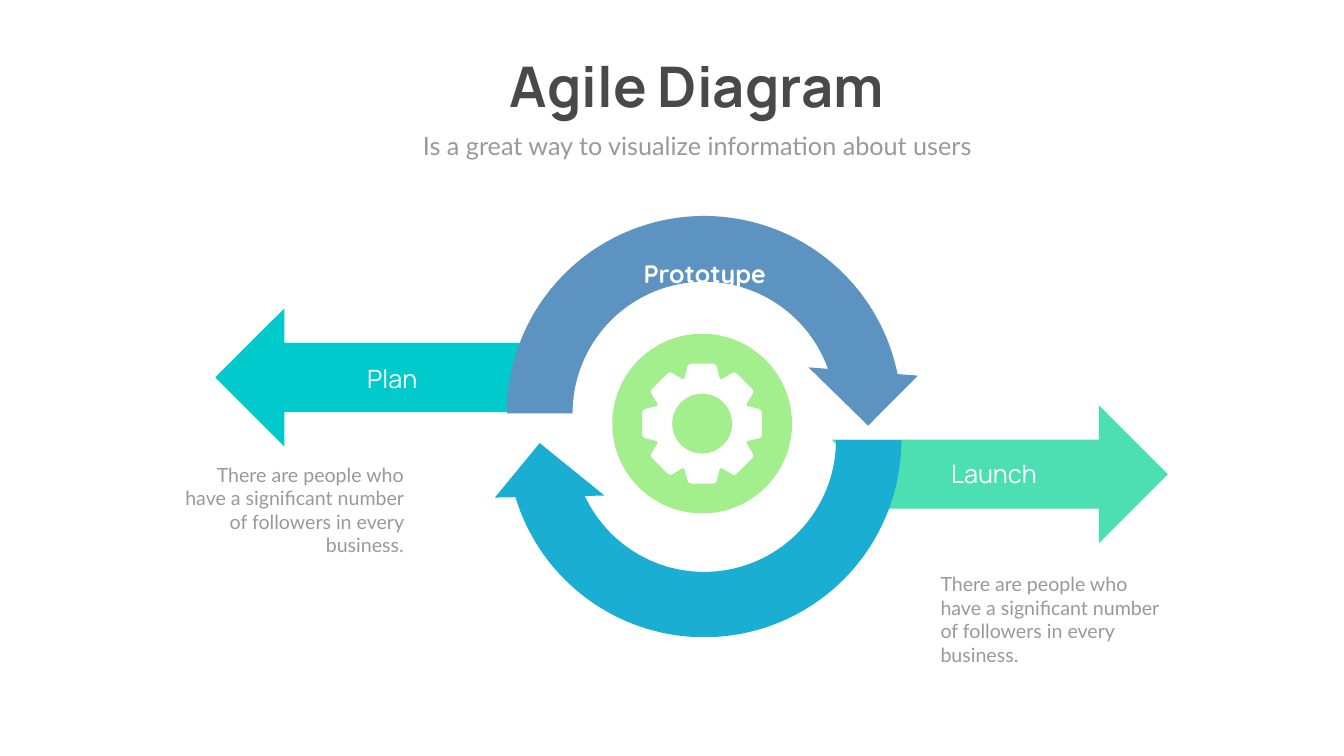
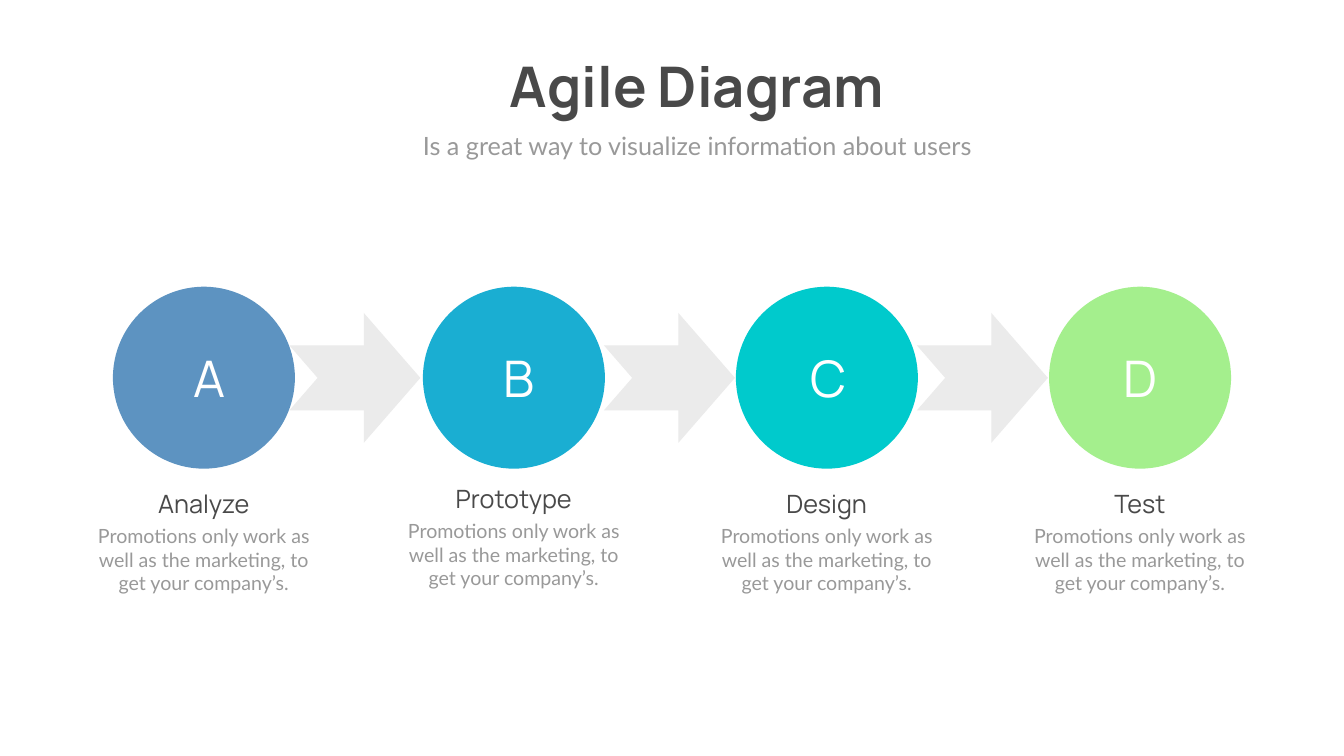
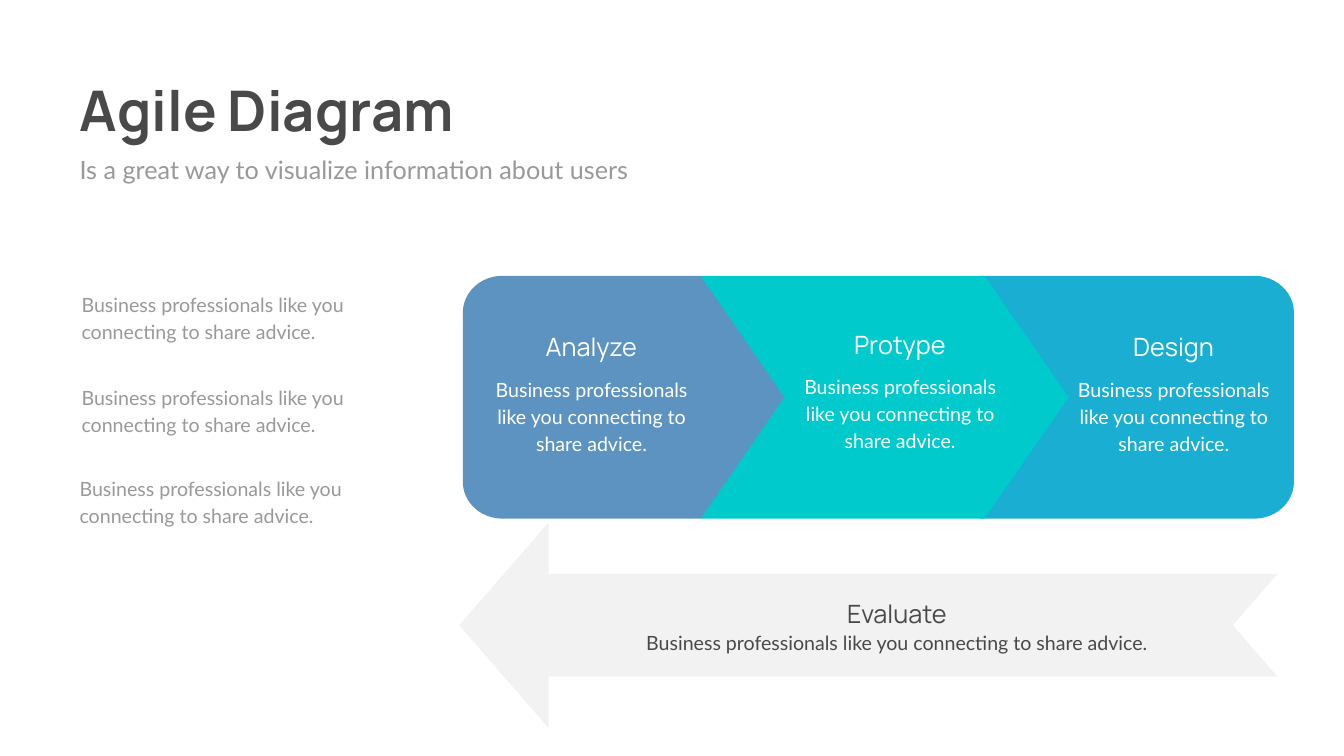
from math import cos, pi, sin

from pptx import Presentation
from pptx.dml.color import RGBColor
from pptx.enum.shapes import MSO_SHAPE as Shape
from pptx.enum.text import MSO_ANCHOR as Anchor
from pptx.enum.text import MSO_AUTO_SIZE as Fit
from pptx.enum.text import PP_ALIGN as Align
from pptx.util import Cm, Pt

COLORS = {
    "dark": "494949", "gray": "999999", "white": "FFFFFF",
    "steel": "5D93C1", "blue": "1AAED2", "teal": "00CACC",
    "mint": "4CDFB2", "green": "A4EF8D", "light": "EBEBEB", "pale": "F2F2F2",
}
HEAD, BODY, ROUND = "Manrope", "Lato", "Quicksand"
LEFT, MID, RIGHT = Align.LEFT, Align.CENTER, Align.RIGHT

TITLE = "Agile Diagram"
SUBTITLE = "Is a great way to visualize information about users"

# Cycle: positions and sizes are in centimetres
NOTE = "There are people who have a significant number of followers in every business."
EXITS = [("mint", 41.91, 20.42, 0), ("teal", 10.85, 15.54, 180)]
RINGS = [
    ("steel", 9.78, 0, (0.15, 11.423, 207.167, 108, 0.125)),
    ("blue", 11.13, 180, (0.149, 11.423, 203.953, 108, 0.125)),
]
LABELS = [("Plan", 15.7, 18.21), ("Launch", 46.02, 22.96)]
NOTES = [(47.14, 28.7, LEFT), (8.86, 23.19, RIGHT)]
HUB = (35.38, 21.35)
TOOTH = [(-0.89, -2.28), (-0.74, -2.88), (-0.68, -2.98), (-0.56, -3.02),
         (0.56, -3.02), (0.68, -2.98), (0.74, -2.88), (0.89, -2.28)]

# Chain: letter, name, colour, circle left, letter left, name top
PROMO = "Promotions only work as well as the marketing, to get your company’s."
STAGES = [
    ("A", "Analyze", "steel", 5.69, 6.71, 24.46),
    ("B", "Prototype", "blue", 21.31, 22.33, 24.21),
    ("C", "Design", "teal", 37.08, 37.92, 24.46),
    ("D", "Test", "green", 52.86, 53.62, 24.46),
]
LINKS = [14.58, 30.43, 46.2]

# Loop: name, left, top
ADVICE = "Business professionals like you connecting to share advice."
STEPS = [("Protype", 41.76, 16.48), ("Design", 55.55, 16.59), ("Analyze", 26.21, 16.59)]
POINTS = [(3.86, 14.48), (3.86, 19.13), (3.76, 23.75)]
TOP, FOOT = 13.9, 26.14


def rgb(name):
    return RGBColor.from_string(COLORS[name])


def style(frame, text, size, face, color, align=MID, bold=False, lead=None):
    frame.word_wrap = True
    frame.text = text
    para = frame.paragraphs[0]
    para.alignment = align
    if lead:
        para.line_spacing = Pt(lead)
    font = para.runs[0].font
    font.size, font.name, font.bold = Pt(size), face, bold
    font.color.rgb = rgb(color)


def write(slide, text, box, size, face, color, anchor=Anchor.TOP, **looks):
    frame = slide.shapes.add_textbox(*map(Cm, box)).text_frame
    style(frame, text, size, face, color, **looks)
    frame.vertical_anchor = anchor
    frame.auto_size = Fit.SHAPE_TO_FIT_TEXT


def label(slide, text, left, top, width, color):
    write(slide, text, (left, top, width, 1.8), 36, HEAD, color)


def body(slide, text, box, color="gray", **looks):
    write(slide, text, box, 28, BODY, color, **looks)


def paint(shape, color):
    shape.fill.solid()
    shape.fill.fore_color.rgb = rgb(color)
    shape.line.fill.background()
    shape.shadow.inherit = False


def draw(slide, kind, box, color, turn=0, adjust=()):
    shape = slide.shapes.add_shape(kind, *map(Cm, box))
    paint(shape, color)
    shape.rotation = turn
    for i, value in enumerate(adjust):
        shape.adjustments[i] = value


def outline(slide, color, *loops):
    """Fill the area between closed loops of points."""
    loops = [[(Cm(x), Cm(y)) for x, y in loop] for loop in loops]
    form = slide.shapes.build_freeform(*loops[0][0])
    form.add_line_segments(loops[0][1:], close=True)
    for loop in loops[1:]:
        form.move_to(*loop[0])
        form.add_line_segments(loop[1:], close=True)
    paint(form.convert_to_shape(), color)


def arc(x, y, wide, high, start, sweep, count):
    """Points on an ellipse; angles in degrees, clockwise from the right."""
    angles = [(start + sweep * i / count) * pi / 180 for i in range(count + 1)]
    return [(x + wide * cos(a), y + high * sin(a)) for a in angles]


def gear(x, y):
    points = []
    for i in range(8):
        c, s = cos(i * pi / 4), sin(i * pi / 4)
        points += [(x + c * u - s * v, y + s * u + c * v) for u, v in TOOTH]
    return points


def start(deck, left, top, align=MID, shift=0):
    slide = deck.slides.add_slide(deck.slide_layouts[5])
    title = slide.shapes.title
    title.left, title.top, title.width, title.height = map(Cm, (left, top, 30.81, 3.68))
    style(title.text_frame, TITLE, 80, HEAD, "dark", align, True)
    title.text_frame.vertical_anchor = Anchor.TOP
    write(slide, SUBTITLE, (left + shift, top + 3.96, 33.45, 1.8),
          36, BODY, "gray", align=align)
    return slide


def cycle(deck):
    slide = start(deck, 19.71, 2.49, shift=-1.3)
    for color, left, top, turn in EXITS:
        draw(slide, Shape.NOTCHED_RIGHT_ARROW, (left, top, 16.94, 6.96), color, turn)
    for color, top, turn, adjust in RINGS:
        draw(slide, Shape.CIRCULAR_ARROW, (24.43, top, 22.1, 22.1), color, turn, adjust)
    for text, left, top in LABELS:
        label(slide, text, left, top, 8.13, "white")
    write(slide, "Prototype", (28.24, 12.9, 14.53, 9.5), 36, ROUND, "white", bold=True)
    for left, top, align in NOTES:
        body(slide, NOTE, (left, top, 11.73, 5.05), align=align)
    outline(slide, "green", arc(*HUB, 4.53, 4.53, 0, 360, 90), gear(*HUB))
    x, y = HUB
    draw(slide, Shape.OVAL, (x - 1.51, y - 1.51, 3.02, 3.02), "green")


def chain(deck):
    slide = start(deck, 19.71, 2.49, shift=-1.3)
    for letter, name, color, left, inner, top in STAGES:
        draw(slide, Shape.OVAL, (left, 14.45, 9.17, 9.17), color)
        label(slide, name, left - 1.76, top, 12.67, "dark")
        body(slide, PROMO, (left - 1.76, top + 1.83, 12.67, 3.84))
        write(slide, letter, (inner, 17.35, 7.65, 3.33), 72, HEAD, "white", Anchor.MIDDLE)
    for left in LINKS:
        draw(slide, Shape.NOTCHED_RIGHT_ARROW, (left, 15.77, 6.6, 6.55), "light",
             adjust=(0.5, 0.435))


def loop(deck):
    slide = start(deck, 3.76, 3.68, LEFT)
    wide, high = 2, 1.86
    near, far = 23.32 + wide, 65.2 - wide
    upper, lower = TOP + high, FOOT - high
    mid = (TOP + FOOT) / 2
    outline(slide, "blue", [(49.4, TOP), *arc(far, upper, wide, high, -90, 90, 12),
                            *arc(far, lower, wide, high, 0, 90, 12), (49.4, FOOT)])
    outline(slide, "teal", [(35.3, TOP), (49.6, TOP), (53.85, mid),
                            (49.6, FOOT), (35.3, FOOT)])
    outline(slide, "steel", [(35.3, TOP), (39.52, mid), (35.3, FOOT),
                             *arc(near, lower, wide, high, 90, 90, 12),
                             *arc(near, upper, wide, high, 180, 90, 12)])
    draw(slide, Shape.NOTCHED_RIGHT_ARROW, (23.14, 26.34, 41.22, 10.34), "pale",
         180, (0.5, 0.435))
    for left, top in POINTS:
        body(slide, ADVICE, (left, top, 13.82, 2.9), align=LEFT, lead=38.6)
    for name, left, top in STEPS:
        label(slide, name, left, top, 7.16, "white")
        body(slide, ADVICE, (left - 1.65, top + 2.13, 10.49, 4.29), "white", lead=38.6)
    label(slide, "Evaluate", 41.61, 30.02, 7.16, "dark")
    body(slide, ADVICE, (29.82, 31.5, 30.73, 1.5), "dark", lead=38.6)


def main():
    deck = Presentation()
    deck.slide_width, deck.slide_height = Cm(67.72), Cm(38.1)
    for build in (cycle, chain, loop):
        build(deck)
    deck.save("out.pptx")


if __name__ == "__main__":
    main()
